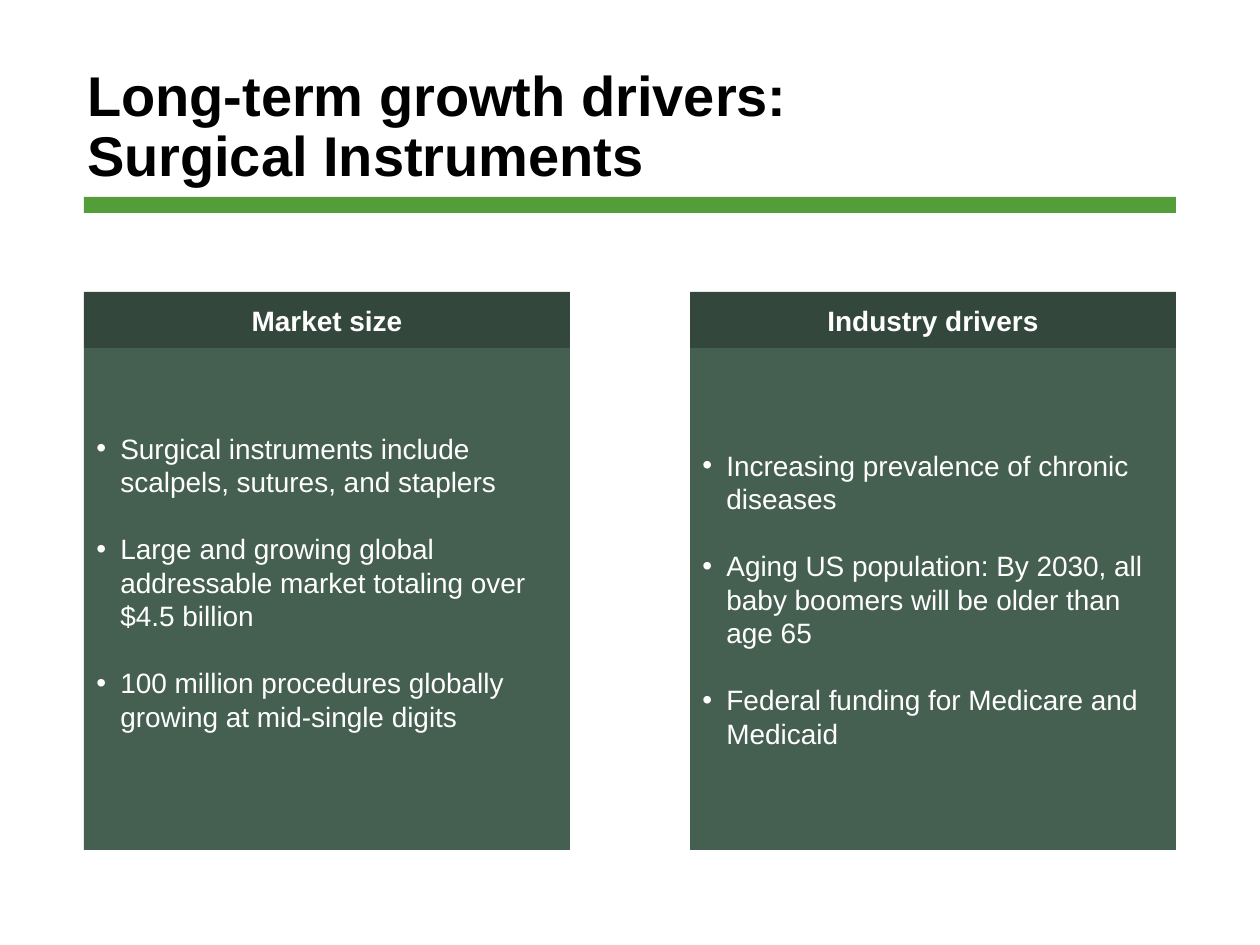
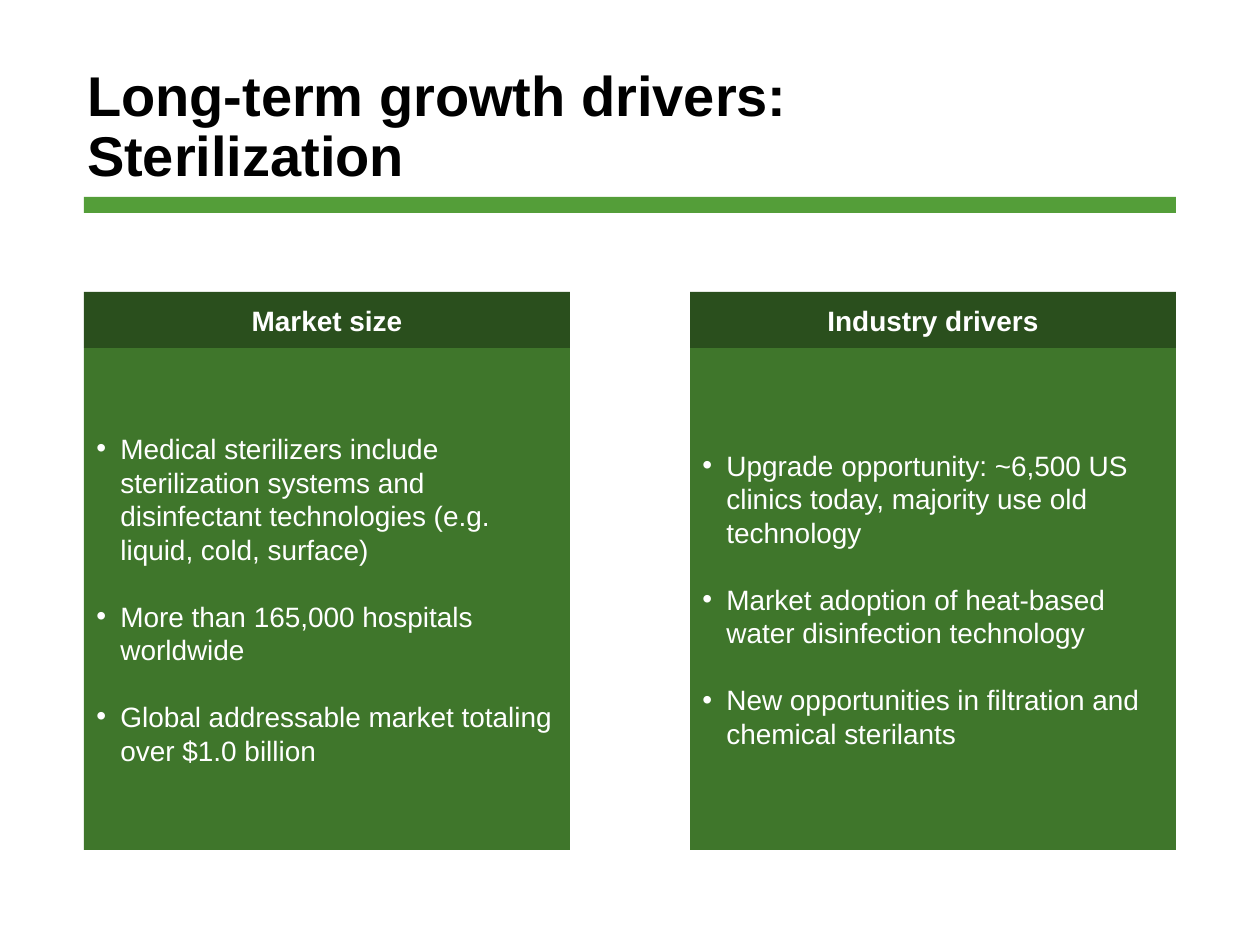
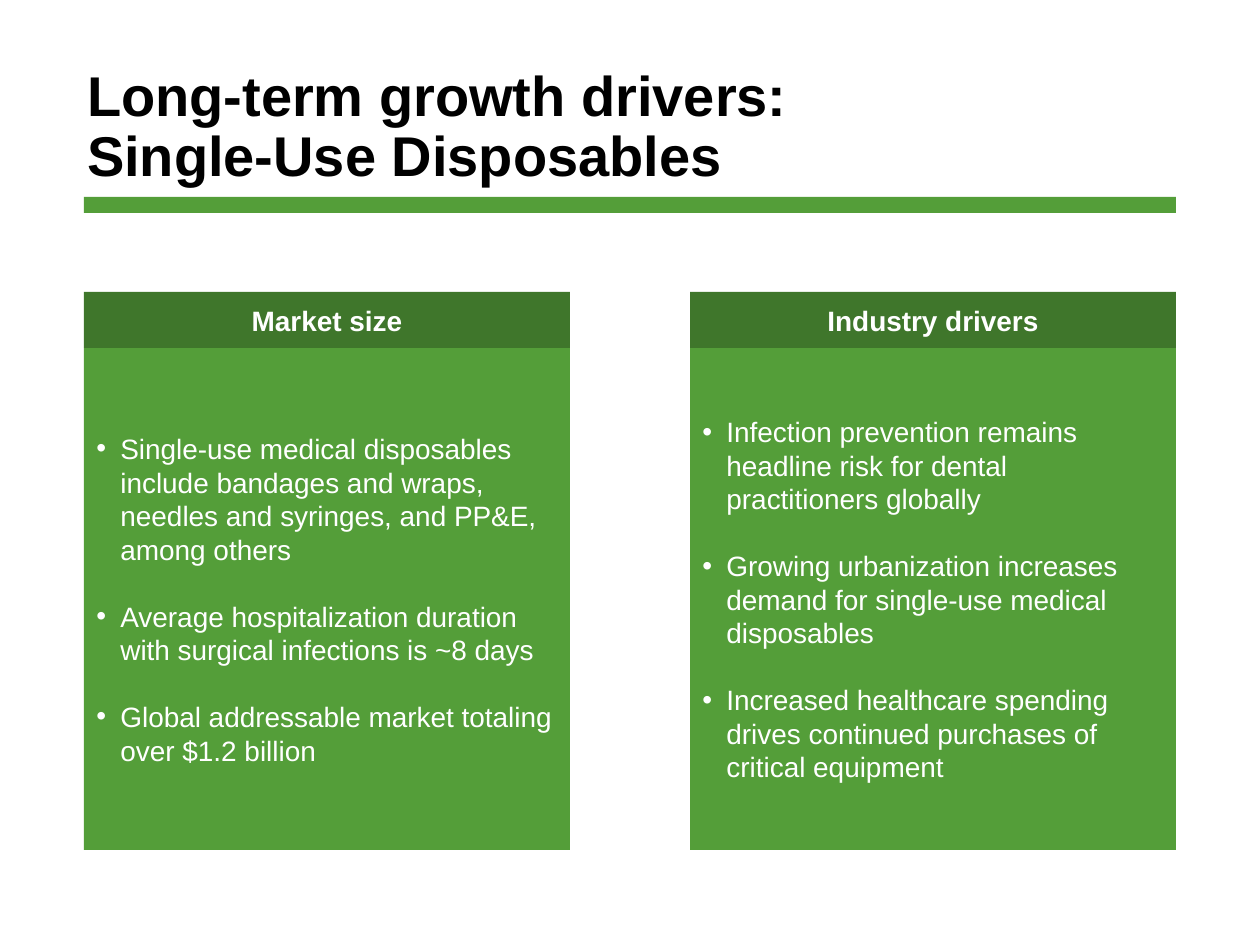
from lxml.etree import SubElement
from pptx import Presentation
from pptx.dml.color import RGBColor
from pptx.enum.shapes import MSO_SHAPE
from pptx.enum.text import MSO_ANCHOR, MSO_AUTO_SIZE, PP_ALIGN
from pptx.oxml.ns import qn
from pptx.util import Emu, Pt

BLACK = RGBColor(0x00, 0x00, 0x00)
WHITE = RGBColor(0xFF, 0xFF, 0xFF)
GREEN = RGBColor(0x54, 0x9E, 0x39)
FOREST = RGBColor(0x3F, 0x76, 0x2B)
DEEP_FOREST = RGBColor(0x2A, 0x4F, 0x1D)
SLATE = RGBColor(0x45, 0x5F, 0x51)
DEEP_SLATE = RGBColor(0x34, 0x47, 0x3D)

FONT = "Arial"
LEFT, RIGHT = 84, 1176
COLUMN_WIDTH = 486
HEADER_TOP, BODY_TOP, BODY_BOTTOM = 292, 348, 850
BULLET_INDENT = 24
INSET = 6
BLANK_LINE = 34
HEADINGS = ["Market size", "Industry drivers"]

PAGES = [
    ("Surgical Instruments", SLATE, DEEP_SLATE, [INSET + BLANK_LINE, INSET], [
        ["Surgical instruments include scalpels, sutures, and staplers",
         "Large and growing global addressable market totaling over $4.5 billion",
         "100 million procedures globally growing at mid-single digits"],
        ["Increasing prevalence of chronic diseases",
         "Aging US population: By 2030, all baby boomers will be older than age 65",
         "Federal funding for Medicare and Medicaid"],
    ]),
    ("Sterilization", FOREST, DEEP_FOREST, [INSET, INSET], [
        ["Medical sterilizers include sterilization systems and disinfectant "
         "technologies (e.g. liquid, cold, surface)",
         "More than 165,000 hospitals worldwide",
         "Global addressable market totaling over $1.0 billion"],
        ["Upgrade opportunity: ~6,500 US clinics today, majority use old technology",
         "Market adoption of heat-based water disinfection technology",
         "New opportunities in filtration and chemical sterilants"],
    ]),
    ("Single-Use Disposables", GREEN, FOREST, [INSET, INSET], [
        ["Single-use medical disposables include bandages and wraps, "
         "needles and syringes, and PP&E, among others",
         "Average hospitalization duration with surgical infections is ~8 days",
         "Global addressable market totaling over $1.2 billion"],
        ["Infection prevention remains headline risk for dental practitioners globally",
         "Growing urbanization increases demand for single-use medical disposables",
         "Increased healthcare spending drives continued purchases of critical equipment"],
    ]),
]


def px(pixels):
    return Emu(round(pixels * 914400 / 126))


def add_box(page, left, top, width, height, color):
    box = page.shapes.add_shape(
        MSO_SHAPE.RECTANGLE, px(left), px(top), px(width), px(height))
    box.shadow.inherit = False
    box.fill.solid()
    box.fill.fore_color.rgb = color
    box.line.fill.background()
    box.text_frame.word_wrap = True
    box.text_frame.vertical_anchor = MSO_ANCHOR.MIDDLE
    return box


deck = Presentation()
deck.slide_width = px(1260)
deck.slide_height = px(945)
title_only = deck.slide_layouts[5]

for topic, body_color, header_color, bottom_insets, columns in PAGES:
    page = deck.slides.add_slide(title_only)

    title = page.shapes.title
    title.left, title.top, title.width, title.height = px(87), px(82), px(1086), px(93)
    frame = title.text_frame
    frame.auto_size = MSO_AUTO_SIZE.NONE
    frame.word_wrap = True
    frame.vertical_anchor = MSO_ANCHOR.MIDDLE
    frame.margin_left = frame.margin_right = 0
    frame.margin_top = frame.margin_bottom = px(INSET)
    para = frame.paragraphs[0]
    para.alignment = PP_ALIGN.LEFT
    para.line_spacing = 0.9
    para.space_before = Pt(0)
    for number, words in enumerate(["Long-term growth drivers:", topic]):
        if number:
            para.add_line_break()
        span = para.add_run()
        span.text = words
        span.font.name = FONT
        span.font.size = Pt(32)
        span.font.bold = True
        span.font.color.rgb = BLACK

    add_box(page, LEFT, 197, RIGHT - LEFT, 16, GREEN)

    lefts = [LEFT, RIGHT - COLUMN_WIDTH]
    for left, heading, bullets, bottom_inset in zip(lefts, HEADINGS, columns, bottom_insets):
        body = add_box(page, left, BODY_TOP, COLUMN_WIDTH, BODY_BOTTOM - BODY_TOP, body_color)
        body.text_frame.margin_bottom = px(bottom_inset)
        for number, words in enumerate(bullets):
            frame = body.text_frame
            para = frame.add_paragraph() if number else frame.paragraphs[0]
            para.alignment = PP_ALIGN.LEFT
            if number:
                para.space_before = Pt(19)
            properties = para._p.get_or_add_pPr()
            properties.set("marL", str(px(BULLET_INDENT)))
            properties.set("indent", str(-px(BULLET_INDENT)))
            SubElement(properties, qn("a:buFont")).set("typeface", FONT)
            SubElement(properties, qn("a:buChar")).set("char", "•")
            span = para.add_run()
            span.text = words
            span.font.name = FONT
            span.font.size = Pt(16)
            span.font.color.rgb = WHITE

        header = add_box(page, left, HEADER_TOP, COLUMN_WIDTH, BODY_TOP - HEADER_TOP, header_color)
        para = header.text_frame.paragraphs[0]
        para.alignment = PP_ALIGN.CENTER
        span = para.add_run()
        span.text = heading
        span.font.name = FONT
        span.font.size = Pt(16)
        span.font.bold = True
        span.font.color.rgb = WHITE

deck.save("out.pptx")
